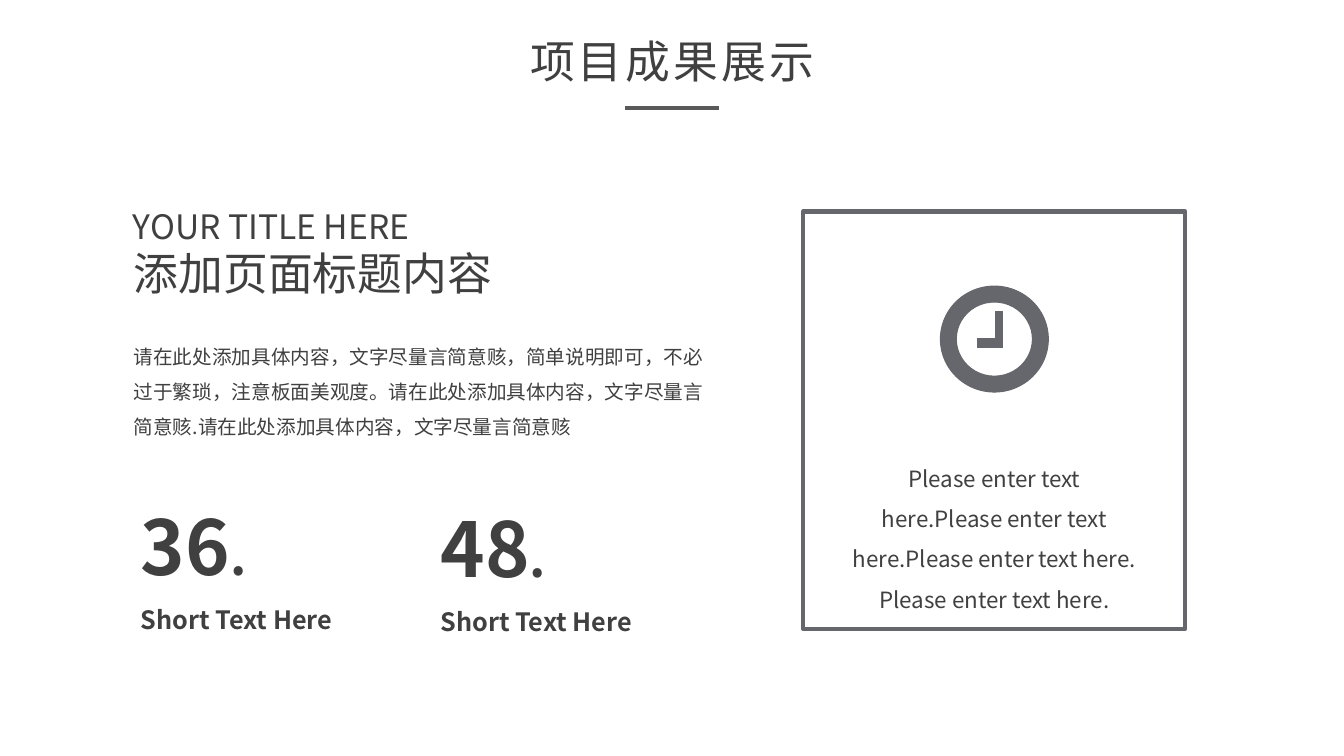
"""Build the project results slide with two figures and a framed clock."""
import pptx
import pptx.dml.color
import pptx.enum.shapes
import pptx.enum.text
import pptx.oxml.ns
import pptx.util
from lxml import etree

Cm, Pt = pptx.util.Cm, pptx.util.Pt
MSO = pptx.enum.shapes.MSO_SHAPE
ALIGN = pptx.enum.text.PP_ALIGN
FIT = pptx.enum.text.MSO_AUTO_SIZE
qn = pptx.oxml.ns.qn

FONT, INK, GREY, RULE = "Noto Sans CJK SC", "404040", "66676C", "595959"
TITLE = "项目成果展示"
SUBTITLE = "YOUR TITLE HERE"
HEADING = "添加页面标题内容"
BODY = ("请在此处添加具体内容，文字尽量言简意赅，简单说明即可，不必过于繁琐，"
        "注意板面美观度。请在此处添加具体内容，文字尽量言简意赅."
        "请在此处添加具体内容，文字尽量言简意赅")
CARD_TEXT = ("Please enter text here.Please enter text here."
             "Please enter text here. Please enter text here.")
STATS = [("36", "Short Text Here", 3.3, 12.47),
         ("48", "Short Text Here", 10.85, 12.52)]
LABEL_DROP = 2.63
CARD = (20.24, 5.33, 9.63, 10.52)
CLOCK = (23.7, 7.21, 2.72, 2.67)
RING = 0.15
HANDS = [(24.64, 8.53), (25.1, 8.53), (25.1, 7.85),
         (25.27, 7.85), (25.27, 8.76), (24.64, 8.76)]


def rgb(value):
    return pptx.dml.color.RGBColor.from_string(value)


def add_text(box, runs, align=ALIGN.LEFT, bold=False, spacing=None,
             tracking=None, wrap=True, fit=True, inset=(0.25, 0.13)):
    tf = slide.shapes.add_textbox(*map(Cm, box)).text_frame
    tf.word_wrap = wrap
    tf.auto_size = FIT.SHAPE_TO_FIT_TEXT if fit else FIT.NONE
    tf.margin_left = tf.margin_right = Cm(inset[0])
    tf.margin_top = tf.margin_bottom = Cm(inset[1])
    p = tf.paragraphs[0]
    p.alignment = align
    if spacing:
        p.line_spacing = spacing
    for text, size in runs:
        r = p.add_run()
        r.text = text
        r.font.size, r.font.bold, r.font.name = Pt(size), bold, FONT
        r.font.color.rgb = rgb(INK)
        rPr = r.font._element
        etree.SubElement(rPr, qn("a:ea")).set("typeface", FONT)
        if tracking:
            rPr.set("spc", str(round(tracking * 100)))


def paint(sp, width, fill=None):
    sp.shadow.inherit = False
    if fill:
        sp.fill.solid()
        sp.fill.fore_color.rgb = rgb(fill)
    else:
        sp.fill.background()
    sp.line.color.rgb = rgb(GREY)
    sp.line.width = Pt(width)


prs = pptx.Presentation()
prs.slide_width, prs.slide_height = Cm(33.87), Cm(19.05)
slide = prs.slides.add_slide(prs.slide_layouts[6])

add_text((12.17, 0.76, 9.55, 1.55), [(TITLE, 32)], ALIGN.CENTER,
         tracking=2.2, inset=(0.18, 0.1))
rule = slide.shapes.add_connector(pptx.enum.shapes.MSO_CONNECTOR.STRAIGHT,
                                  Cm(15.75), Cm(2.72), Cm(18.11), Cm(2.72))
rule.line.color.rgb = rgb(RULE)
rule.line.width = Pt(2.25)
etree.SubElement(rule._element.spPr, qn("a:effectLst"))

paint(slide.shapes.add_shape(MSO.RECTANGLE, *map(Cm, CARD)), 3)
add_text((3.12, 6.05, 9.63, 1.63), [(HEADING, 32)], wrap=False)
add_text((3.1, 5.05, 7.67, 0.91), [(SUBTITLE, 24)], fit=False)
add_text((3.12, 8.26, 15.01, 2.84), [(BODY, 14)], spacing=1.5)

for number, label, x, y in STATS:
    add_text((x, y, 6.3, 2.57), [(number, 54), (".", 36)], bold=True)
    add_text((x, y + LABEL_DROP, 5.89, 1.02), [(label, 18)], bold=True)

add_text((21.11, 11.25, 7.9, 3.23), [(CARD_TEXT, 16)], ALIGN.CENTER, spacing=1.5)
ring = slide.shapes.add_shape(MSO.DONUT, *map(Cm, CLOCK))
ring.adjustments[0] = RING
paint(ring, 0.75, GREY)
points = [(Cm(x), Cm(y)) for x, y in HANDS]
builder = slide.shapes.build_freeform(*points[0])
builder.add_line_segments(points[1:], close=True)
paint(builder.convert_to_shape(), 0.75, GREY)

prs.save("out.pptx")
